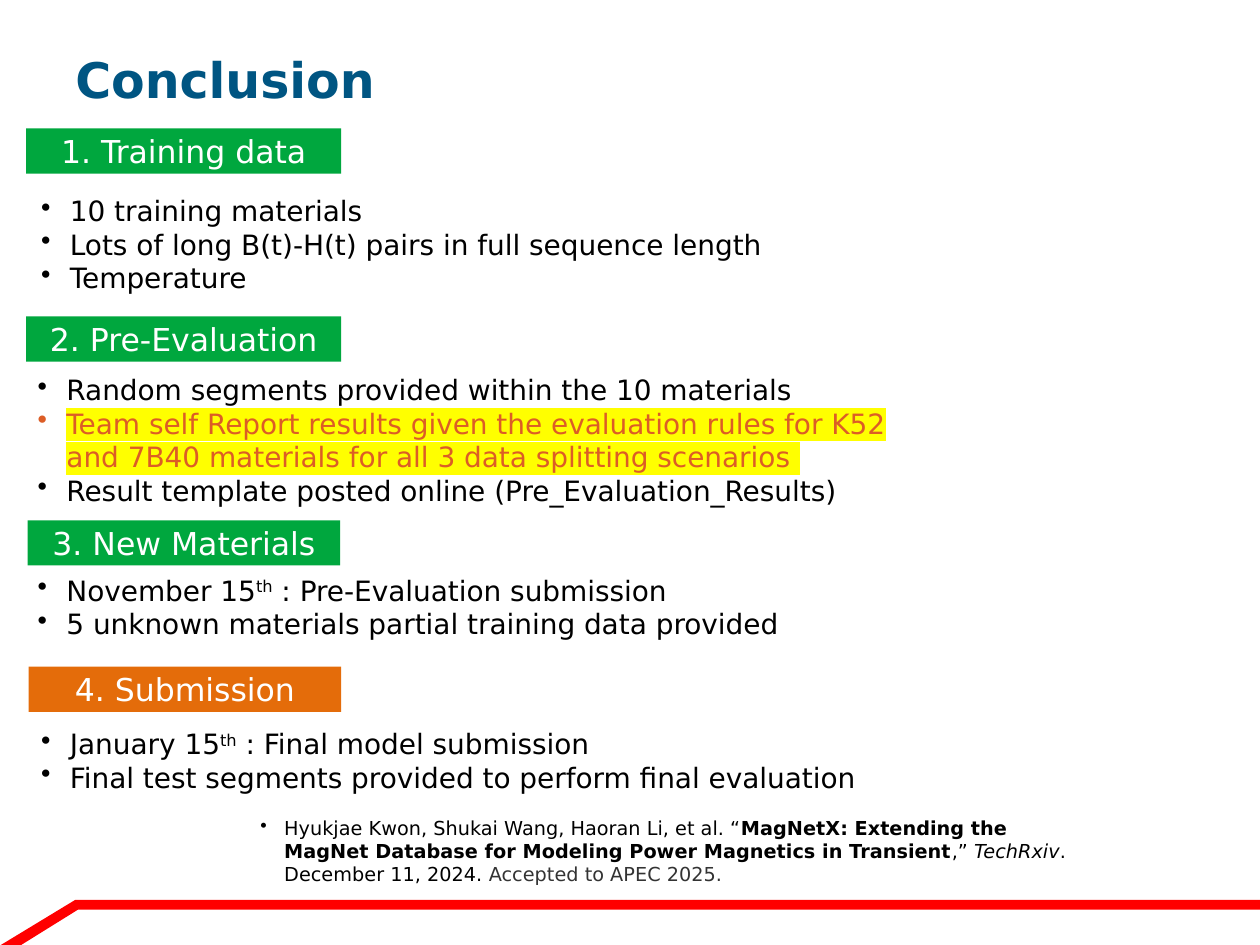
from lxml import etree
from pptx import Presentation
from pptx import util as u
from pptx.dml.color import RGBColor
from pptx.enum import shapes, text
from pptx.oxml.ns import qn

FONT = "DejaVu Sans"
GREEN, ORANGE = "00A73E", "E46C0A"
BULLET_INDENT = 0.58
HIGHLIGHTED = {"color": "DC5D26", "highlight": "FFFF00"}
RAISED = {"baseline": 30000}

# Header box, header fill, header text, body box relative to header, bullets
SECTIONS = [
    ((0.53, 2.59, 6.35, 0.91), GREEN, "1. Training data",
     (0.05, 1.19, 15.54, 2.31), [
         [("10 training materials", {})],
         [("Lots of long B(t)-H(t) pairs in full sequence length", {})],
         [("Temperature", {})]]),
    ((0.53, 6.38, 6.35, 0.91), GREEN, "2. Pre-Evaluation",
     (-0.02, 1.01, 17.98, 3.0), [
         [("Random segments provided within the 10 materials", {})],
         [("Team self Report results given the evaluation rules for K52 "
           "and 7B40 materials for all 3 data splitting scenarios ",
           HIGHLIGHTED)],
         [("Result template posted online (Pre_Evaluation_Results)", {})]]),
    ((0.56, 10.49, 6.3, 0.91), GREEN, "3. New Materials",
     (-0.05, 0.94, 16.33, 1.63), [
         [("November 15", {}), ("th", RAISED),
          (" : Pre-Evaluation submission", {})],
         [("5 unknown materials partial training data provided", {})]]),
    ((0.58, 13.44, 6.3, 0.91), ORANGE, "4. Submission",
     (0, 1.09, 17.91, 1.63), [
         [("January 15", {}), ("th", RAISED),
          (" : Final model submission", {})],
         [("Final test segments provided to perform final evaluation", {})]]),
]

CITATION = [
    ("Hyukjae Kwon, Shukai Wang, Haoran Li, et al. “", {}),
    ("MagNetX: Extending the MagNet Database for Modeling Power Magnetics "
     "in Transient", {"bold": True}),
    (",” ", {}),
    ("TechRxiv", {"italic": True}),
    (". December 11, 2024. ", {}),
    ("Accepted to APEC 2025.", {"color": "333333"}),
]


def rgb(value):
    return RGBColor.from_string(value)


def place(box):
    return [u.Cm(length) for length in box]


def add_span(para, words, size, color="000000", highlight=None,
             baseline=None, **font_values):
    span = para.add_run()
    span.text = words
    values = {"name": FONT, "size": u.Pt(size), **font_values}
    for name, value in values.items():
        setattr(span.font, name, value)
    span.font.color.rgb = rgb(color)
    props = span.font._element
    if highlight:
        mark = etree.Element(qn("a:highlight"))
        etree.SubElement(mark, qn("a:srgbClr"), val=highlight)
        props.find(qn("a:solidFill")).addnext(mark)
    if baseline:
        props.set("baseline", str(baseline))


def add_bullet(para, indent):
    props = para._p.get_or_add_pPr()
    props.set("marL", str(u.Cm(indent)))
    props.set("indent", str(-u.Cm(indent)))
    etree.SubElement(props, qn("a:buChar"), char="•")


def add_text(page, box, paragraphs, size, indent=None):
    frame = page.shapes.add_textbox(*place(box)).text_frame
    frame.word_wrap = True
    for index, spans in enumerate(paragraphs):
        para = frame.add_paragraph() if index else frame.paragraphs[0]
        if indent:
            add_bullet(para, indent)
        for words, values in spans:
            add_span(para, words, size, **values)
    return frame


def add_footer_band(page):
    """Red band that bends down at the lower left corner."""
    points = [(-0.03, 19.08), (0.38, 19.08), (1.57, 18.34), (25.4, 18.34),
              (25.4, 18.14), (1.52, 18.14)]
    corners = [place(point) for point in points]
    builder = page.shapes.build_freeform(*corners[0])
    builder.add_line_segments(corners[1:], close=True)
    band = builder.convert_to_shape()
    band.shadow.inherit = False
    band.fill.solid()
    band.fill.fore_color.rgb = rgb("FF0000")
    band.line.fill.background()


def add_header(page, box, fill, words):
    header = page.shapes.add_shape(shapes.MSO_SHAPE.RECTANGLE, *place(box))
    header.shadow.inherit = False
    header.fill.solid()
    header.fill.fore_color.rgb = rgb(fill)
    header.line.fill.background()
    frame = header.text_frame
    frame.vertical_anchor = text.MSO_ANCHOR.MIDDLE
    para = frame.paragraphs[0]
    para.alignment = text.PP_ALIGN.CENTER
    add_span(para, words, 18, "FFFFFF")


def add_section(page, box, fill, words, offset, bullets):
    """Coloured header with its bullet list below."""
    add_header(page, box, fill, words)
    shift_x, shift_y, width, height = offset
    body = (box[0] + shift_x, box[1] + shift_y, width, height)
    add_text(page, body, bullets, 16, BULLET_INDENT)


def main():
    deck = Presentation()
    deck.slide_width, deck.slide_height = u.Cm(25.4), u.Cm(19.05)
    page = deck.slides.add_slide(deck.slide_layouts[6])

    add_footer_band(page)

    # Title
    title = add_text(page, (1.27, 0.86, 23.32, 1.45),
                     [[("Conclusion", {"color": "005582", "bold": True})]], 28)
    title.vertical_anchor = text.MSO_ANCHOR.MIDDLE

    # Citation
    add_text(page, (5, 16.33, 17.37, 1.68), [CITATION], 11, 0.48)

    # Numbered sections
    for section in SECTIONS:
        add_section(page, *section)

    deck.save("out.pptx")


if __name__ == "__main__":
    main()
